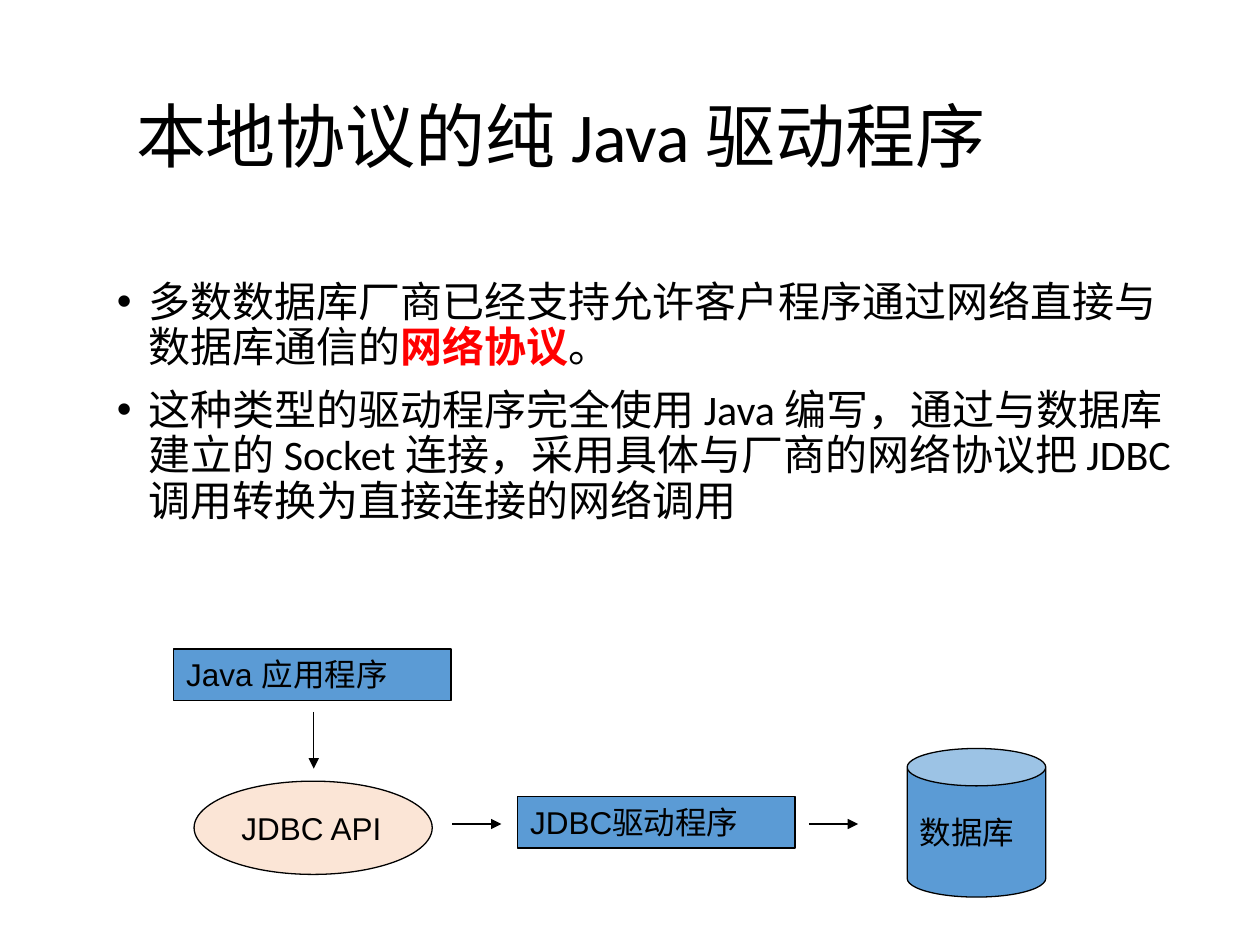
"""Build the slide on pure Java drivers that use a native protocol."""
import pptx
import pptx.dml.color
import pptx.enum.shapes
import pptx.enum.text
import pptx.oxml
import pptx.oxml.ns
import pptx.util
from pptx.util import Inches

BLACK = pptx.dml.color.RGBColor(0x00, 0x00, 0x00)
RED = pptx.dml.color.RGBColor(0xFF, 0x00, 0x00)
BLUE = pptx.dml.color.RGBColor(0x5B, 0x9B, 0xD5)
PEACH = pptx.dml.color.RGBColor(0xFB, 0xE5, 0xD6)
LEFT = pptx.enum.text.PP_ALIGN.LEFT
TOP = pptx.enum.text.MSO_ANCHOR.TOP
MIDDLE = pptx.enum.text.MSO_ANCHOR.MIDDLE
SHAPE = pptx.enum.shapes.MSO_SHAPE


def format_font(font, name, size, color=BLACK):
    font.name = name
    font.size = pptx.util.Pt(size)
    font.color.rgb = color


def add_element(parent, tag, **attributes):
    element = pptx.oxml.parse_xml(f"<a:{tag} {pptx.oxml.ns.nsdecls('a')}/>")
    for name, value in attributes.items():
        element.set(name, value)
    parent.append(element)


presentation = pptx.Presentation()
presentation.slide_width = Inches(10)
presentation.slide_height = Inches(7.5)
slide = presentation.slides.add_slide(presentation.slide_layouts[5])

title = slide.shapes.title
title.left, title.top, title.width, title.height = map(Inches, (0.98, 0.76, 9, 1.34))
title.text_frame.text = "本地协议的纯 Java 驱动程序"
title.text_frame.auto_size = pptx.enum.text.MSO_AUTO_SIZE.NONE
title.text_frame.vertical_anchor = TOP
paragraph = title.text_frame.paragraphs[0]
paragraph.alignment = LEFT
paragraph.line_spacing = 0.9
format_font(paragraph.runs[0].font, "Calibri", 40)

points = [
    [("多数数据库厂商已经支持允许客户程序通过网络直接与数据库通信的", False),
     ("网络协议", True), ("。", False)],
    [("这种类型的驱动程序完全使用 Java 编写，通过与数据库建立的 Socket 连接，"
      "采用具体与厂商的网络协议把 JDBC 调用转换为直接连接的网络调用", False)],
]
body = slide.shapes.add_textbox(Inches(0.83), Inches(2.18), Inches(8.63), Inches(2.31))
body.text_frame.word_wrap = True
for index, point in enumerate(points):
    paragraph = body.text_frame.paragraphs[0] if index == 0 else body.text_frame.add_paragraph()
    paragraph.line_spacing = 0.9
    if index:
        paragraph.space_before = pptx.util.Pt(10)
    properties = paragraph._p.get_or_add_pPr()
    properties.set("marL", str(Inches(0.25)))
    properties.set("indent", str(-Inches(0.25)))
    add_element(properties, "buFont", typeface="Arial")
    add_element(properties, "buChar", char="•")
    for text, emphasized in point:
        run = paragraph.add_run()
        run.text = text
        run.font.bold = emphasized
        format_font(run.font, "Calibri", 24, RED if emphasized else BLACK)

nodes = [
    ("Java 应用程序", SHAPE.RECTANGLE, (1.38, 5.15, 2.2, 0.41), BLUE, TOP, True),
    ("JDBC API", SHAPE.OVAL, (1.54, 6.2, 1.89, 0.74), PEACH, MIDDLE, False),
    ("JDBC驱动程序", SHAPE.RECTANGLE, (4.11, 6.32, 2.2, 0.41), BLUE, TOP, True),
    ("数据库", SHAPE.CAN, (7.2, 5.94, 1.1, 1.18), BLUE, MIDDLE, False),
]
for text, kind, bounds, fill, anchor, wrap in nodes:
    shape = slide.shapes.add_shape(kind, *map(Inches, bounds))
    if kind == SHAPE.CAN:
        shape.adjustments[0] = 0.27
    shape.shadow.inherit = False
    shape.fill.solid()
    shape.fill.fore_color.rgb = fill
    shape.line.color.rgb = BLACK
    shape.line.width = pptx.util.Pt(0.75)
    shape.text_frame.text = text
    shape.text_frame.word_wrap = wrap
    shape.text_frame.vertical_anchor = anchor
    paragraph = shape.text_frame.paragraphs[0]
    paragraph.alignment = LEFT
    properties = paragraph._p.get_or_add_pPr()
    properties.set("marL", str(Inches(0.38)))
    properties.set("indent", str(-Inches(0.38)))
    format_font(paragraph.runs[0].font, "Arial", 18)

arrows = [(2.49, 5.65, 2.49, 6.1), (3.59, 6.54, 3.98, 6.54), (6.42, 6.54, 6.81, 6.54)]
for ends in arrows:
    arrow = slide.shapes.add_connector(
        pptx.enum.shapes.MSO_CONNECTOR.STRAIGHT, *map(Inches, ends))
    arrow.line.color.rgb = BLACK
    arrow.line.width = pptx.util.Pt(0.75)
    add_element(arrow.line._get_or_add_ln(), "tailEnd", type="triangle")
    add_element(arrow._element.spPr, "effectLst")

presentation.save("out.pptx")
